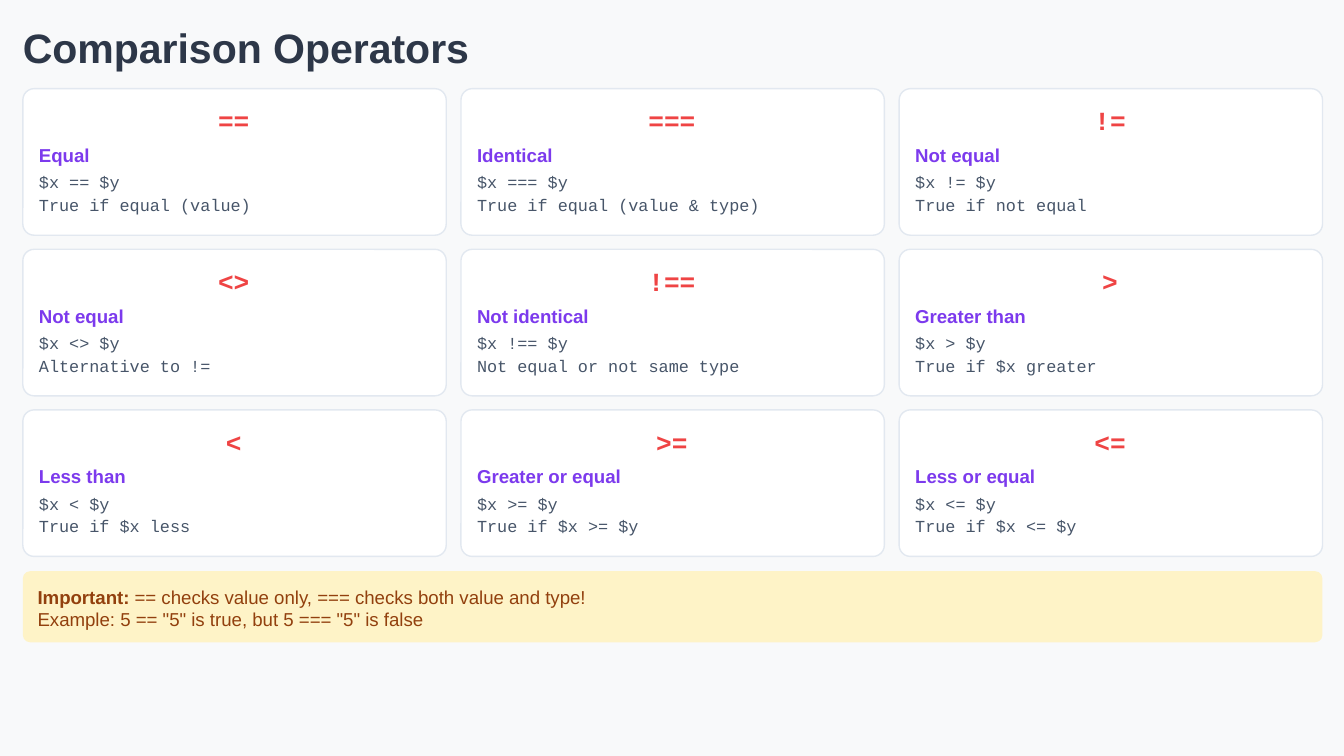
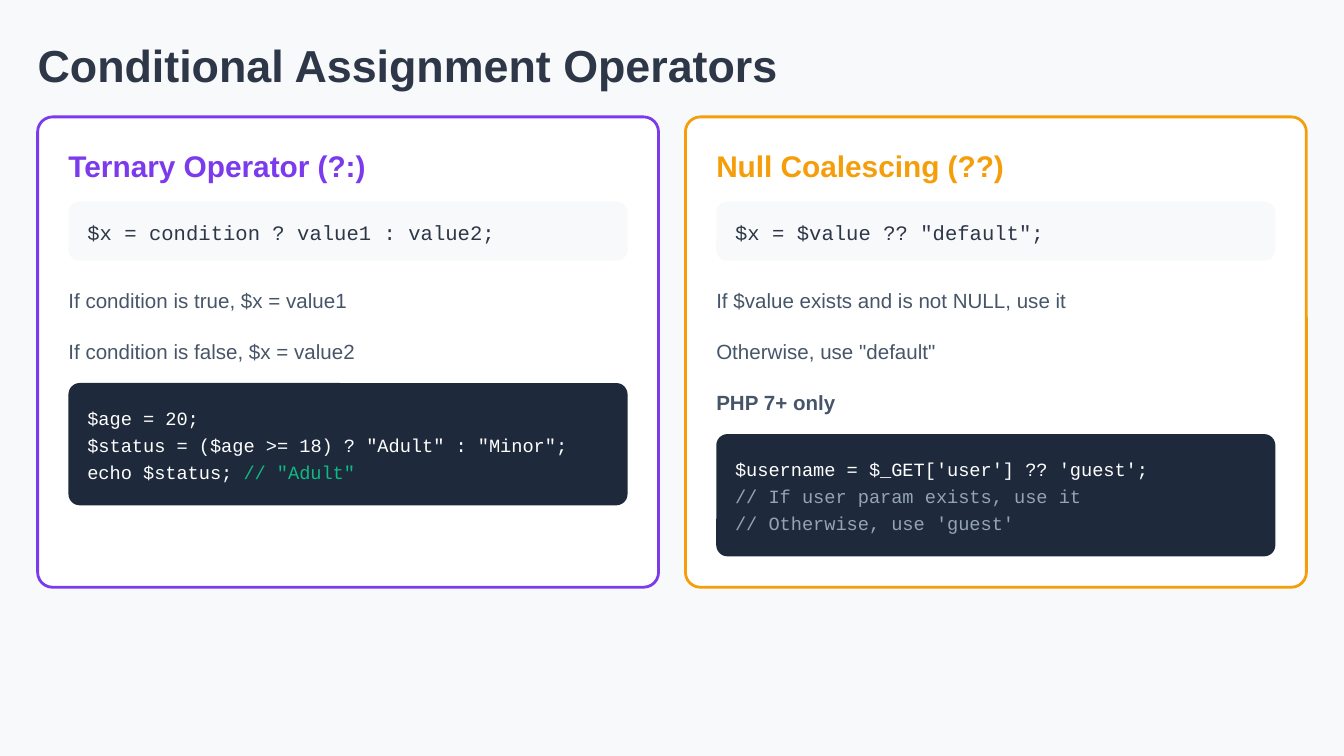
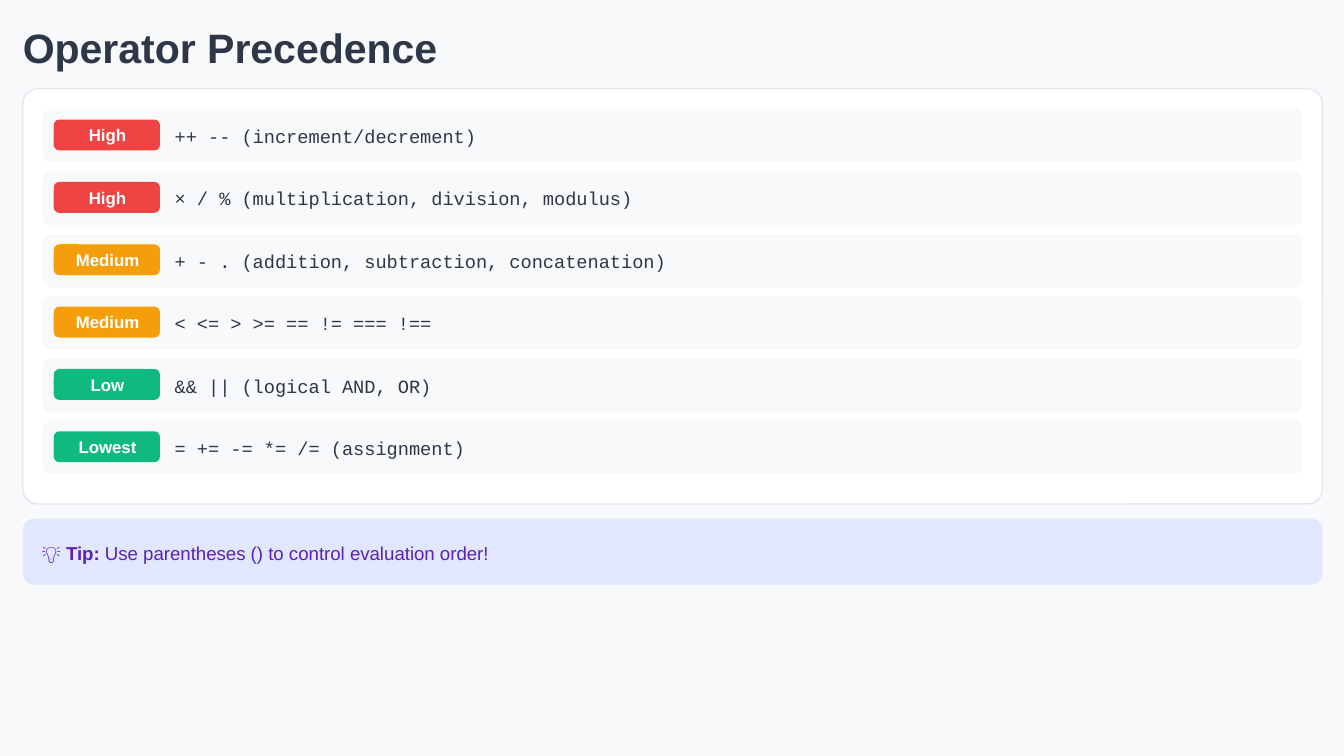
from pptx import Presentation
from pptx.dml.color import RGBColor
from pptx.enum import shapes, text
from pptx.util import Inches, Pt

# Colours
PAGE = RGBColor(0xF8, 0xF9, 0xFA)
WHITE = RGBColor(0xFF, 0xFF, 0xFF)
BORDER = RGBColor(0xE2, 0xE8, 0xF0)
INK = RGBColor(0x2D, 0x37, 0x48)
SLATE = RGBColor(0x47, 0x55, 0x69)
MUTED = RGBColor(0x94, 0xA3, 0xB8)
NIGHT = RGBColor(0x1E, 0x29, 0x3B)
PURPLE = RGBColor(0x7C, 0x3A, 0xED)
RED = RGBColor(0xEF, 0x44, 0x44)
AMBER = RGBColor(0xF5, 0x9E, 0x0B)
GREEN = RGBColor(0x10, 0xB9, 0x81)
CREAM = RGBColor(0xFE, 0xF3, 0xC7)
BROWN = RGBColor(0x92, 0x40, 0x0E)
LAVENDER = RGBColor(0xE0, 0xE7, 0xFF)
VIOLET = RGBColor(0x5B, 0x21, 0xB6)

# Text styles: font name, size in points, bold
SANS, MONO = "Arial", "Courier New"
STYLES = {
    "title": dict(name=SANS, size=Pt(22), bold=True),
    "wide title": dict(name=SANS, size=Pt(24), bold=True),
    "heading": dict(name=SANS, size=Pt(16), bold=True),
    "symbol": dict(name=MONO, size=Pt(14), bold=True),
    "label": dict(name=SANS, size=Pt(10), bold=True),
    "body": dict(name=SANS, size=Pt(10), bold=False),
    "usage": dict(name=MONO, size=Pt(9), bold=False),
    "syntax": dict(name=MONO, size=Pt(11), bold=False),
    "note": dict(name=SANS, size=Pt(11), bold=False),
    "strong note": dict(name=SANS, size=Pt(11), bold=True),
    "code": dict(name=MONO, size=Pt(10), bold=False),
    "badge": dict(name=SANS, size=Pt(9), bold=True),
}

# Shared frame, in inches
LEFT, TOP, WIDTH = 0.17, 0.66, 9.67

# Content
COMPARISONS = [
    ("==", "Equal", "$x == $y", "True if equal (value)"),
    ("===", "Identical", "$x === $y", "True if equal (value & type)"),
    ("!=", "Not equal", "$x != $y", "True if not equal"),
    ("<>", "Not equal", "$x <> $y", "Alternative to !="),
    ("!==", "Not identical", "$x !== $y", "Not equal or not same type"),
    (">", "Greater than", "$x > $y", "True if $x greater"),
    ("<", "Less than", "$x < $y", "True if $x less"),
    (">=", "Greater or equal", "$x >= $y", "True if $x >= $y"),
    ("<=", "Less or equal", "$x <= $y", "True if $x <= $y"),
]
IMPORTANT = [
    [("Important:", "label", BROWN),
     (" == checks value only, === checks both value and type!", "body", BROWN)],
    [('Example: 5 == "5" is true, but 5 === "5" is false', "body", BROWN)],
]
CONDITIONALS = [
    dict(heading="Ternary Operator (?:)", accent=PURPLE,
         syntax="$x = condition ? value1 : value2;",
         notes=[("If condition is true, $x = value1", "note"),
                ("If condition is false, $x = value2", "note")],
         code=[[("$age = 20;", WHITE)],
               [('$status = ($age >= 18) ? "Adult" : "Minor";', WHITE)],
               [("echo $status; ", WHITE), ('// "Adult"', GREEN)]]),
    dict(heading="Null Coalescing (??)", accent=AMBER,
         syntax='$x = $value ?? "default";',
         notes=[("If $value exists and is not NULL, use it", "note"),
                ('Otherwise, use "default"', "note"),
                ("PHP 7+ only", "strong note")],
         code=[[("$username = $_GET['user'] ?? 'guest';", WHITE)],
               [("// If user param exists, use it", MUTED)],
               [("// Otherwise, use 'guest'", MUTED)]]),
]
PRECEDENCE = [
    ("High", RED, "++ -- (increment/decrement)"),
    ("High", RED, "× / % (multiplication, division, modulus)"),
    ("Medium", AMBER, "+ - . (addition, subtraction, concatenation)"),
    ("Medium", AMBER, "< <= > >= == != === !=="),
    ("Low", GREEN, "&& || (logical AND, OR)"),
    ("Lowest", GREEN, "= += -= *= /= (assignment)"),
]
TIP = [("💡 Tip:", "label", VIOLET),
       (" Use parentheses () to control evaluation order!", "body", VIOLET)]


def add_panel(slide, x, y, w, h, fill, radius, border=None, border_pt=0.75):
    """Rounded panel; the corner radius is in points."""
    panel = slide.shapes.add_shape(shapes.MSO_SHAPE.ROUNDED_RECTANGLE,
                                   Inches(x), Inches(y), Inches(w), Inches(h))
    panel.shadow.inherit = False
    panel.adjustments[0] = Pt(radius) / Inches(min(w, h))
    panel.fill.solid()
    panel.fill.fore_color.rgb = fill
    if border is None:
        panel.line.fill.background()
    else:
        panel.line.color.rgb = border
        panel.line.width = Pt(border_pt)


def add_line(slide, x, y, w, h, runs, **paragraph_format):
    """One line of text made of (wording, style, colour) runs."""
    frame = slide.shapes.add_textbox(Inches(x), Inches(y), Inches(w), Inches(h)).text_frame
    for side in ("left", "top", "right", "bottom"):
        setattr(frame, f"margin_{side}", 0)
    frame.word_wrap = True
    paragraph = frame.paragraphs[0]
    for attribute, value in paragraph_format.items():
        setattr(paragraph, attribute, value)
    for wording, style, colour in runs:
        run = paragraph.add_run()
        run.text = wording
        for attribute, value in STYLES[style].items():
            setattr(run.font, attribute, value)
        run.font.color.rgb = colour


def add_page(deck, title, x=LEFT, y=0.17, w=9.86, h=0.35, style="title"):
    slide = deck.slides.add_slide(deck.slide_layouts[6])
    slide.background.fill.solid()
    slide.background.fill.fore_color.rgb = PAGE
    add_line(slide, x, y, w, h, [(title, style, INK)])
    return slide


def build_comparisons(deck):
    slide = add_page(deck, "Comparison Operators")
    card_w, card_h, grid_bottom = 3.15, 1.09, 4.14
    step_x = (WIDTH - card_w) / 2
    step_y = (grid_bottom - TOP - card_h) / 2
    for i, (symbol, name, usage, meaning) in enumerate(COMPARISONS):
        row, column = divmod(i, 3)
        x, y = LEFT + column * step_x, TOP + row * step_y
        add_panel(slide, x, y, card_w, card_h, WHITE, 6, BORDER)
        add_line(slide, x + 0.09, y + 0.12, 2.96, 0.23, [(symbol, "symbol", RED)],
                 alignment=text.PP_ALIGN.CENTER)
        for offset, wording, style, colour in (
                (0.41, name, "label", PURPLE),
                (0.62, usage, "usage", SLATE),
                (0.79, meaning, "usage", SLATE)):
            add_line(slide, x + 0.12, y + offset, 2.96, 0.15, [(wording, style, colour)])

    # Warning band
    add_panel(slide, LEFT, 4.25, WIDTH, 0.53, CREAM, 4)
    for i, runs in enumerate(IMPORTANT):
        add_line(slide, 0.28, 4.36 + i * 0.16, 9.63, 0.16, runs)


def build_conditionals(deck):
    left, top, step, note_step = 0.28, 0.87, 4.82, 0.38
    slide = add_page(deck, "Conditional Assignment Operators",
                     left, 0.28, 9.63, 0.39, "wide title")
    for i, operator in enumerate(CONDITIONALS):
        x = left + i * step
        inner, indented = x + 0.23, x + 0.37
        accent = operator["accent"]
        add_panel(slide, x, top, 4.62, 3.5, WHITE, 8, accent, 1.5)
        add_line(slide, inner, 1.1, 4.24, 0.26, [(operator["heading"], "heading", accent)])
        add_panel(slide, inner, 1.5, 4.16, 0.44, PAGE, 6)
        add_line(slide, indented, 1.64, 3.96, 0.17, [(operator["syntax"], "syntax", INK)])

        # Explanation, then the code block right below it
        for n, (note, style) in enumerate(operator["notes"]):
            add_line(slide, inner, 2.1 + n * note_step, 4.24, 0.23,
                     [(note, style, SLATE)], line_spacing=Pt(16.5))
        code_top = 2.09 + len(operator["notes"]) * note_step
        add_panel(slide, inner, code_top, 4.16, 0.91, NIGHT, 6)
        for n, pieces in enumerate(operator["code"]):
            add_line(slide, indented, code_top + 0.18 + n * 0.2, 3.96, 0.16,
                     [(piece, "code", colour) for piece, colour in pieces])


def build_precedence(deck):
    slide = add_page(deck, "Operator Precedence")
    add_panel(slide, LEFT, TOP, WIDTH, 3.09, WHITE, 8, BORDER)
    first, last_bottom, row_h = 0.81, 3.53, 0.4
    step = (last_bottom - first - row_h) / (len(PRECEDENCE) - 1)
    for i, (level, colour, operators) in enumerate(PRECEDENCE):
        y = first + i * step
        add_panel(slide, 0.32, y, 9.37, row_h, PAGE, 4)
        add_panel(slide, 0.4, y + 0.08, 0.79, 0.23, colour, 3)
        add_line(slide, 0.48, y + 0.12, 0.64, 0.15, [(level, "badge", WHITE)],
                 alignment=text.PP_ALIGN.CENTER)
        add_line(slide, 1.3, y + 0.12, 3.74, 0.16, [(operators, "code", INK)])

    # Tip band
    add_panel(slide, LEFT, 3.86, WIDTH, 0.49, LAVENDER, 6)
    add_line(slide, 0.31, 4.03, 9.58, 0.16, TIP)


def main():
    deck = Presentation()
    deck.slide_width = Inches(10)
    deck.slide_height = Inches(10) * 9 // 16
    build_comparisons(deck)
    build_conditionals(deck)
    build_precedence(deck)
    deck.save("out.pptx")


if __name__ == "__main__":
    main()
